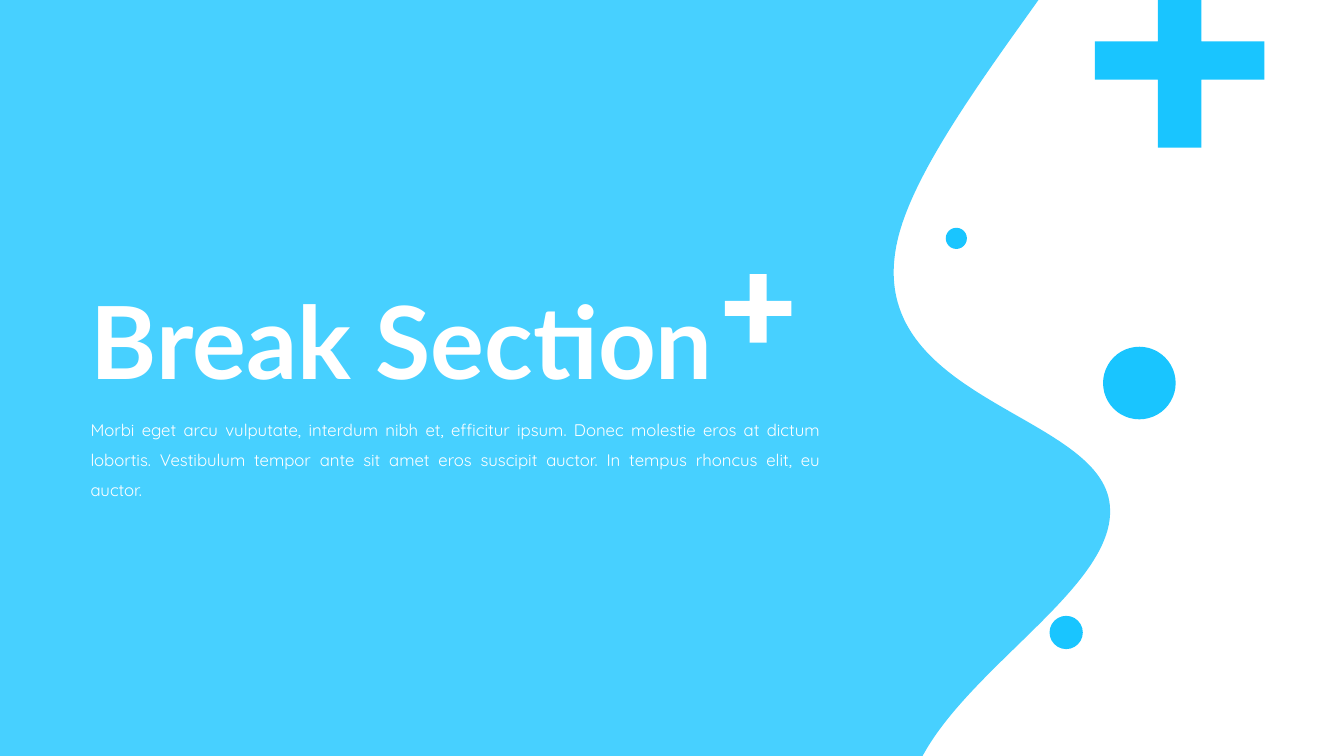
import pptx
import pptx.util
import pptx.dml.color
import pptx.enum.shapes
import pptx.enum.text
import pptx.oxml.ns
from lxml import etree

Inches = pptx.util.Inches
ALIGN = pptx.enum.text.PP_ALIGN
ANCHOR = pptx.enum.text.MSO_ANCHOR
FIT = pptx.enum.text.MSO_AUTO_SIZE
qn = pptx.oxml.ns.qn

COLORS = {"blue": "19C5FF", "white": "FFFFFF"}

BODY = ("Morbi eget arcu vulputate, interdum nibh et, efficitur ipsum. "
        "Donec molestie eros at dictum lobortis. Vestibulum tempor ante sit "
        "amet eros suscipit auctor. In tempus rhoncus elit, eu auctor.")

# Corners of the wave; a curve's end also names its two handles
WAVE = [
    [(0, 0)], [(10.3, 0)], [(10.05, 0.35)],
    [(9.46, 1.18), (8.96, 1.94), (8.88, 2.5)],
    [(8.65, 4.01), (11, 4.11), (11.01, 5.06)],
    [(11.03, 5.8), (9.71, 6.56), (9.19, 7.43)],
    [(9.15, 7.5)], [(0, 7.5)],
]

# Left, top, diameter
DOTS = [(10.94, 3.44, 0.72), (10.41, 6.11, 0.33), (9.38, 2.26, 0.21)]


def rgb(name):
    return pptx.dml.color.RGBColor.from_string(COLORS[name])


def paint(shape, color):
    shape.shadow.inherit = False
    shape.fill.solid()
    shape.fill.fore_color.rgb = rgb(color)
    shape.line.fill.background()


def fade(shape, share):
    """Set the opacity of a solid fill, in percent."""
    tint = shape._element.spPr.find(qn("a:solidFill") + "/" + qn("a:srgbClr"))
    node = etree.SubElement(tint, qn("a:alpha"))
    node.set("val", str(share * 1000))


def outline(slide, points, color):
    spots = [(Inches(x), Inches(y)) for x, y in points]
    build = slide.shapes.build_freeform(*spots[0], scale=1.0)
    build.add_line_segments(spots[1:], close=True)
    shape = build.convert_to_shape()
    paint(shape, color)
    return shape


def add_wave(slide):
    wave = outline(slide, [stop[-1] for stop in WAVE], "blue")
    fade(wave, 80)
    # Turn the sides that have handles into curves
    sides = list(wave._element.iter(qn("a:lnTo")))
    for side, stop in zip(sides, WAVE[1:]):
        if len(stop) == 1:
            continue
        curve = etree.Element(qn("a:cubicBezTo"))
        for x, y in stop:
            node = etree.SubElement(curve, qn("a:pt"))
            node.set("x", str(Inches(x)))
            node.set("y", str(Inches(y)))
        side.getparent().replace(side, curve)


def add_plus(slide, mid_x, mid_y, width, height, stem, bar, color):
    """Plus sign with an upright stem and a level bar."""
    x, y = width / 2, height / 2
    s, b = stem / 2, bar / 2
    corners = [(-s, -y), (s, -y), (s, -b), (x, -b), (x, b), (s, b),
               (s, y), (-s, y), (-s, b), (-x, b), (-x, -b), (-s, -b)]
    outline(slide, [(mid_x + h, mid_y + v) for h, v in corners], color)


def add_dot(slide, left, top, size):
    dot = slide.shapes.add_shape(
        pptx.enum.shapes.MSO_SHAPE.OVAL, Inches(left), Inches(top),
        Inches(size), Inches(size))
    paint(dot, "blue")


def write(shape, text, font, size, align, gap, anchor, fit, bold=False):
    frame = shape.text_frame
    frame.text = text
    frame.word_wrap = True
    frame.auto_size = fit
    frame.vertical_anchor = anchor
    para = frame.paragraphs[0]
    para.alignment = align
    para.line_spacing = gap
    face = para.runs[0].font
    face.name = font
    face.size = pptx.util.Pt(size)
    face.bold = bold
    face.color.rgb = rgb("white")


def add_body(slide):
    box = slide.shapes.add_textbox(
        Inches(0.8), Inches(4.01), Inches(7.44), Inches(0.71))
    write(box, BODY, "Quicksand", 12, ALIGN.JUSTIFY, 1.5, ANCHOR.TOP,
          FIT.SHAPE_TO_FIT_TEXT)


def set_title(slide):
    title = slide.shapes.title
    title.left, title.top = Inches(0.8), Inches(2.72)
    title.width, title.height = Inches(8.71), Inches(1.45)
    write(title, "Break Section", "Lato", 72, ALIGN.LEFT, 0.9,
          ANCHOR.MIDDLE, FIT.NONE, bold=True)
    # Bring the title in front of the wave
    slide.shapes._spTree.append(title._element)


def main():
    deck = pptx.Presentation()
    deck.slide_width, deck.slide_height = Inches(13.33), Inches(7.5)
    slide = deck.slides.add_slide(deck.slide_layouts[5])

    # Background wave and the small plus beside the title
    add_wave(slide)
    add_plus(slide, 7.52, 3.06, 0.66, 0.68, 0.17, 0.15, "white")

    # Text under the title
    add_body(slide)

    # Dots and the large plus on the white side
    for dot in DOTS:
        add_dot(slide, *dot)
    add_plus(slide, 11.7, 0.6, 1.68, 1.73, 0.43, 0.38, "blue")

    # Title
    set_title(slide)
    deck.save("out.pptx")


if __name__ == "__main__":
    main()
